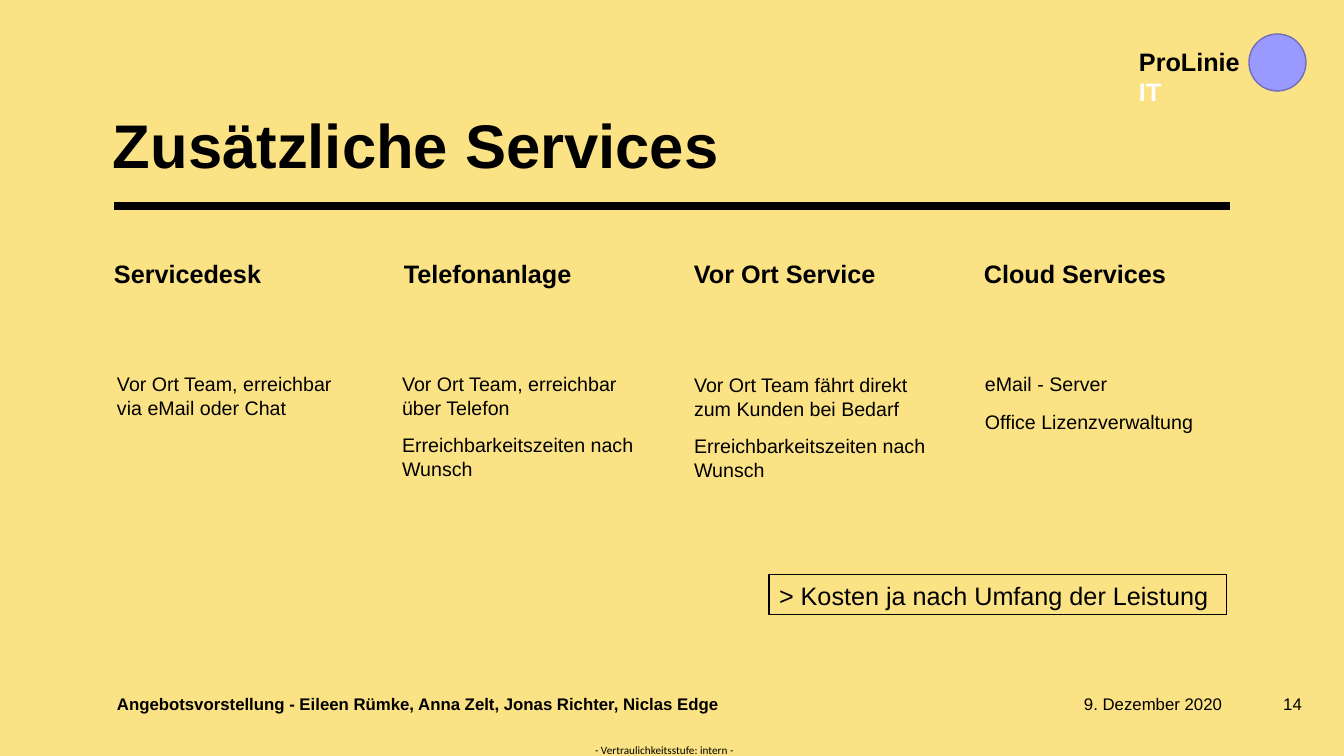
"""Build the slide on additional services with four service columns."""
from lxml.etree import SubElement
from pptx import Presentation
from pptx.dml.color import RGBColor
from pptx.enum.shapes import MSO_CONNECTOR, MSO_SHAPE
from pptx.enum.text import MSO_ANCHOR, MSO_AUTO_SIZE, PP_ALIGN
from pptx.oxml.ns import qn
from pptx.util import Pt

PX = 914400 / 100.8
SAND = RGBColor(0xFB, 0xE2, 0x84)
BLACK = RGBColor(0, 0, 0)
WHITE = RGBColor(0xFF, 0xFF, 0xFF)
LILAC = RGBColor(0x99, 0x99, 0xFF)
VIOLET = RGBColor(0x70, 0x6F, 0xBB)


def emu(*pixels):
    return [round(pixel * PX) for pixel in pixels]


def write(holder, box, text, size, bold=False, align=PP_ALIGN.LEFT, anchor=MSO_ANCHOR.TOP,
          inset=(10, 5), before=0, spacing=1.0, font="Arial"):
    holder.left, holder.top, holder.width, holder.height = emu(*box)
    frame = holder.text_frame
    frame.text = text
    frame.word_wrap = True
    frame.auto_size = MSO_AUTO_SIZE.NONE
    frame.vertical_anchor = anchor
    frame.margin_left, frame.margin_top = emu(*inset)
    frame.margin_right, frame.margin_bottom = emu(*inset)
    for paragraph in frame.paragraphs:
        paragraph.alignment = align
        paragraph.line_spacing = spacing
        paragraph.space_before = Pt(before)
        properties = paragraph._p.get_or_add_pPr()
        properties.set("marL", "0")
        properties.set("indent", "0")
        SubElement(properties, qn("a:buNone"))
        for run in paragraph.runs:
            run.font.name = font
            run.font.size = Pt(size)
            run.font.bold = bold
            run.font.color.rgb = BLACK


presentation = Presentation()
presentation.slide_width, presentation.slide_height = emu(1344, 756)
slide = presentation.slides.add_slide(presentation.slide_layouts[4])
slide.background.fill.solid()
slide.background.fill.fore_color.rgb = SAND
shapes = slide.shapes

write(shapes.title, (113, 110, 861, 72), "Zusätzliche Services", 44, bold=True,
      anchor=MSO_ANCHOR.BOTTOM, inset=(0, 0), spacing=0.9)

title_rule = shapes.add_connector(MSO_CONNECTOR.STRAIGHT, *emu(114, 206, 1230, 206))
title_rule.line.color.rgb = BLACK
title_rule.line.width = Pt(6)
SubElement(title_rule._element.spPr, qn("a:effectLst"))

services = [
    ("Servicedesk", 107, 367, "Vor Ort Team, erreichbar via eMail oder Chat"),
    ("Telefonanlage", 392, 367,
     "Vor Ort Team, erreichbar über Telefon\nErreichbarkeitszeiten nach Wunsch"),
    ("Vor Ort Service", 684, 368,
     "Vor Ort Team fährt direkt zum Kunden bei Bedarf\nErreichbarkeitszeiten nach Wunsch"),
    ("Cloud Services", 975, 367, "eMail - Server\nOffice Lizenzverwaltung"),
]
details = [holder for holder in slide.placeholders if holder.placeholder_format.idx > 0]
for column, (service, left, top, description) in enumerate(services):
    heading = shapes.add_textbox(0, 0, 0, 0)
    write(heading, (104 + 290 * column, 257, 252, 101), service, 18, bold=True,
          before=10, spacing=0.9)
    write(details[column], (left, top, 252, 272), description, 14, before=10)

footers = [
    ((107, 694, 970, 20), "Angebotsvorstellung - Eileen Rümke, Anna Zelt, Jonas Richter, Niclas Edge",
     True, PP_ALIGN.LEFT, 10),
    ((1084, 694, 168, 20), "9. Dezember 2020", False, PP_ALIGN.LEFT, 0),
    ((1267, 694, 45, 20), "14", False, PP_ALIGN.RIGHT, 10),
]
for box, text, bold, align, side in footers:
    write(shapes.add_textbox(0, 0, 0, 0), box, text, 12, bold=bold, align=align,
          anchor=MSO_ANCHOR.MIDDLE, inset=(side, 5))
write(shapes.add_textbox(0, 0, 0, 0), (592, 743, 145, 13), "- Vertraulichkeitsstufe: intern -", 8,
      align=PP_ALIGN.CENTER, inset=(0, 0), font="Calibri")

emblem = shapes.add_shape(MSO_SHAPE.OVAL, *emu(1249, 34, 57, 57))
emblem.shadow.inherit = False
emblem.fill.solid()
emblem.fill.fore_color.rgb = LILAC
emblem.line.color.rgb = VIOLET
emblem.line.width = Pt(1)

company = shapes.add_textbox(0, 0, 0, 0)
write(company, (1129, 41, 158, 70), "ProLinie\vIT", 18, bold=True)
company.text_frame.paragraphs[0].runs[1].font.color.rgb = WHITE

cost_note = shapes.add_shape(MSO_SHAPE.RECTANGLE, 0, 0, 0, 0)
cost_note.shadow.inherit = False
cost_note.fill.background()
cost_note.line.color.rgb = BLACK
cost_note.line.width = Pt(0.75)
write(cost_note, (769, 575, 458, 40), "> Kosten ja nach Umfang der Leistung", 18)

presentation.save("out.pptx")
